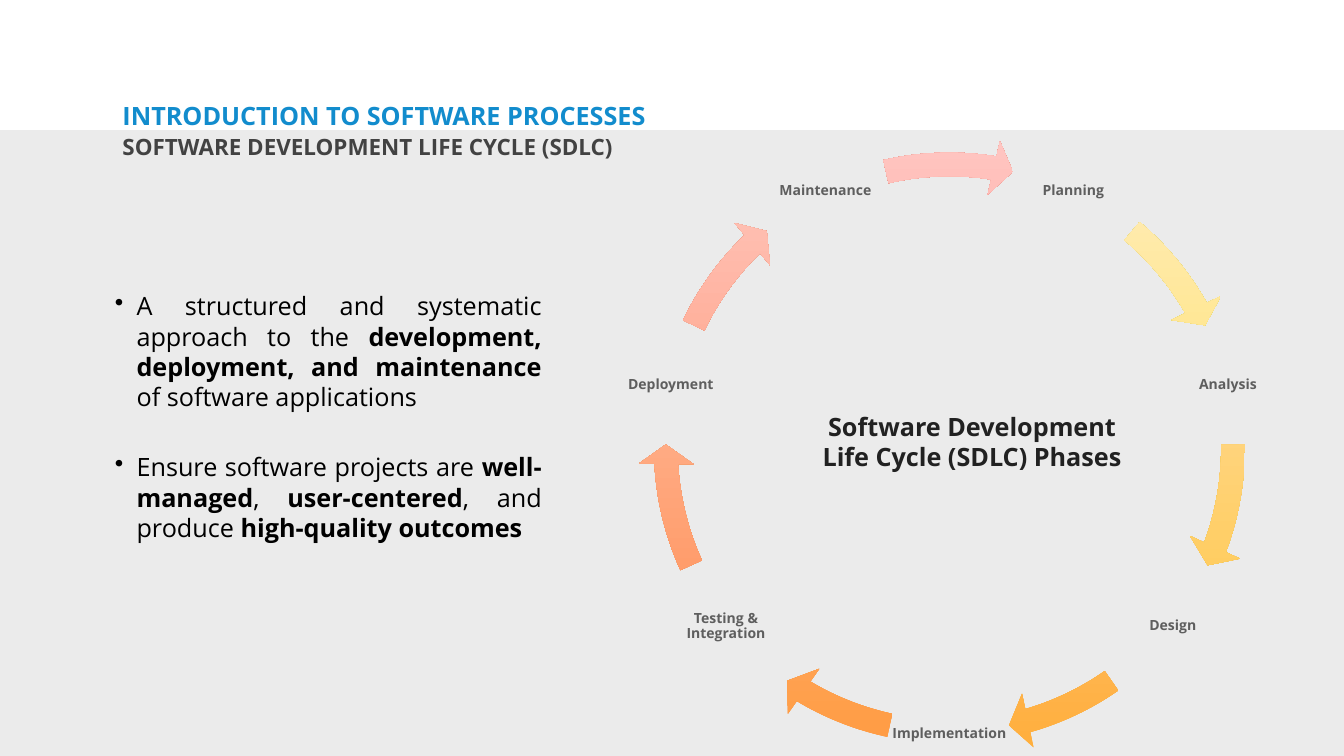
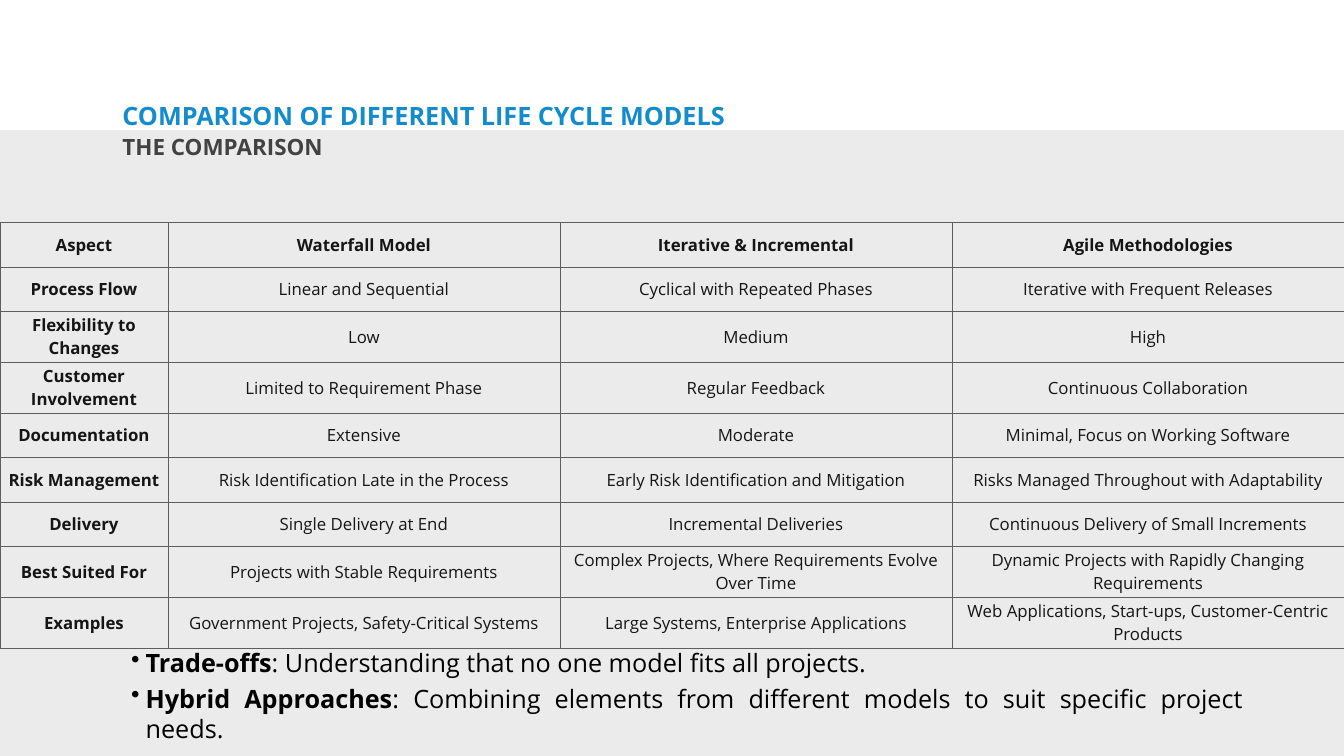
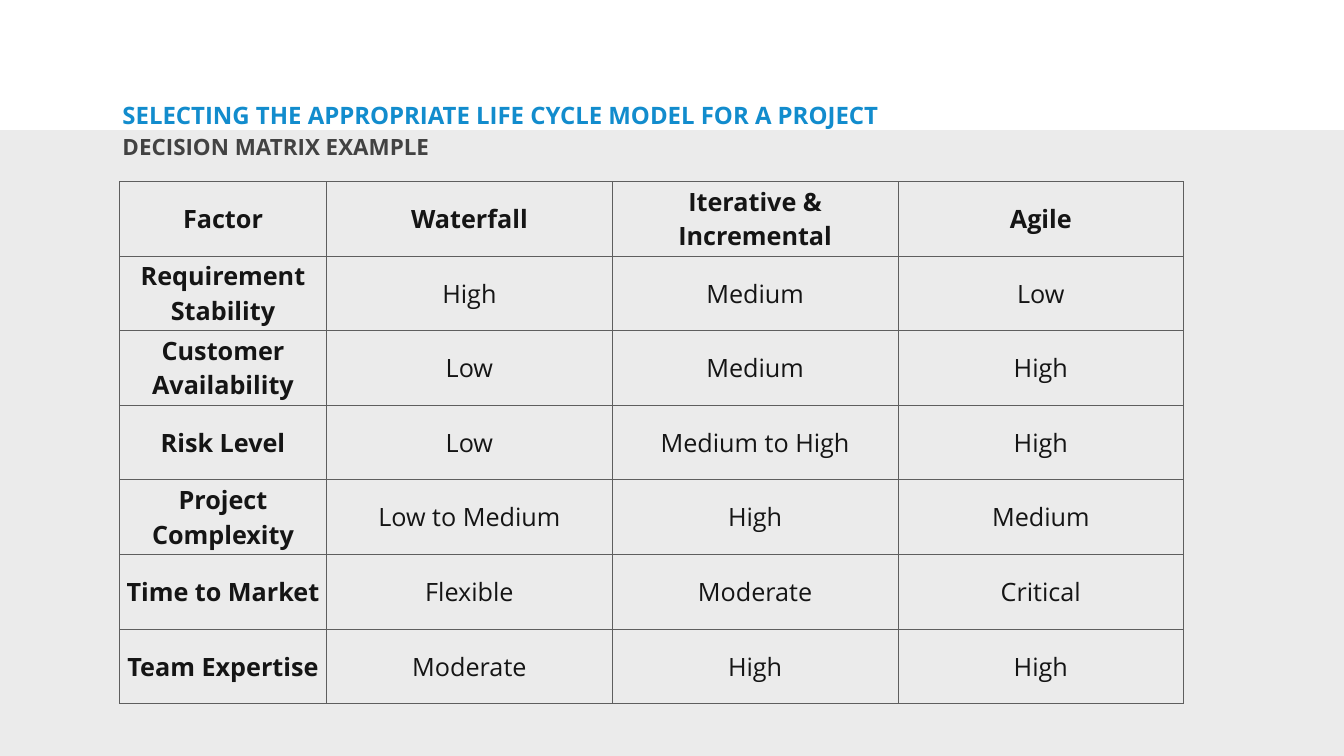
"""Build three slides on software life cycle models."""
import math

import pptx
import pptx.dml.color
import pptx.enum.shapes
import pptx.enum.text
import pptx.oxml
import pptx.oxml.ns
import pptx.util

PX = 9144
FONT = "Open Sans"
COLORS = {
    "band": "EBEBEB",
    "title": "128CCD",
    "subtitle": "424242",
    "body": "000000",
    "phase": "5E5E5E",
    "center": "212121",
    "cell": "151515",
    "grid": "5E5E5E",
}
ALIGN = pptx.enum.text.PP_ALIGN
ANCHOR = pptx.enum.text.MSO_ANCHOR
SHAPE = pptx.enum.shapes.MSO_SHAPE

RING_X, RING_Y, RING_SIZE = 1267, 272, 1234
LABEL_RADIUS, LABEL_SIZE = 567, 238
ARROW_THICKNESS, ARROW_HEAD_WIDTH, ARROW_HEAD_ANGLE = 38, 44, 3.92
ONE_LINE_ROW, TWO_LINE_ROW = 88, 101

# Each phase: label, angles of the next arrow's tail and head, gradient colours.
PHASES = [
    ("Planning", 310.1, 330.44, "FFD932", "FFEDBF"),
    ("Analysis", 359.3, 20.49, "FFC337", "FFE4BF"),
    ("Design", 55.14, 73.95, "FFAE3B", "FFDBBF"),
    ("Implementation", 102.14, 120.95, "FF9A40", "FFD4C0"),
    ("Testing & Integration", 155.59, 176.79, "FF8745", "FFCEC1"),
    ("Deployment", 205.64, 225.98, "FF7549", "FFCAC1"),
    ("Maintenance", 257.08, 279.01, "FF644E", "FFC6C2"),
]

SDLC_POINTS = [
    [("A structured and systematic approach to the ", False),
     ("development, deployment, and maintenance ", True),
     ("of software applications", False)],
    [("Ensure software projects are ", False), ("well-managed", True),
     (", ", False), ("user-centered", True), (", and produce ", False),
     ("high-quality outcomes", True)],
]

CHOICE_POINTS = [
    [("Trade-offs", True),
     (": Understanding that no one model fits all projects.", False)],
    [("Hybrid Approaches", True),
     (": Combining elements from different models to suit specific project needs.", False)],
]

COMPARISON = [
    ("Aspect", "Waterfall Model", "Iterative & Incremental", "Agile Methodologies"),
    ("Process Flow", "Linear and Sequential", "Cyclical with Repeated Phases",
     "Iterative with Frequent Releases"),
    ("Flexibility to Changes", "Low", "Medium", "High"),
    ("Customer Involvement", "Limited to Requirement Phase", "Regular Feedback",
     "Continuous Collaboration"),
    ("Documentation", "Extensive", "Moderate", "Minimal, Focus on Working Software"),
    ("Risk Management", "Risk Identification Late in the Process",
     "Early Risk Identification and Mitigation",
     "Risks Managed Throughout with Adaptability"),
    ("Delivery", "Single Delivery at End", "Incremental Deliveries",
     "Continuous Delivery of Small Increments"),
    ("Best Suited For", "Projects with Stable Requirements",
     "Complex Projects, Where Requirements Evolve Over Time",
     "Dynamic Projects with Rapidly Changing Requirements"),
    ("Examples", "Government Projects, Safety-Critical Systems",
     "Large Systems, Enterprise Applications",
     "Web Applications, Start-ups, Customer-Centric Products"),
]
WRAPPED_ASPECTS = ("Flexibility to Changes", "Customer Involvement",
                   "Best Suited For", "Examples")

DECISION_MATRIX = [
    ("Factor", "Waterfall", "Iterative & Incremental", "Agile"),
    ("Requirement Stability", "High", "Medium", "Low"),
    ("Customer Availability", "Low", "Medium", "High"),
    ("Risk Level", "Low", "Medium to High", "High"),
    ("Project Complexity", "Low to Medium", "High", "Medium"),
    ("Time to Market", "Flexible", "Moderate", "Critical"),
    ("Team Expertise", "Moderate", "High", "High"),
]


def emu(*lengths):
    """Turn px lengths into whole EMU."""
    return [pptx.util.Emu(round(length * PX)) for length in lengths]


def rgb(value):
    """Turn a hex string into a colour."""
    return pptx.dml.color.RGBColor.from_string(value)


def add_run(paragraph, text, size, color, bold):
    """Append one styled run to a paragraph."""
    run = paragraph.add_run()
    run.text = text
    run.font.name = FONT
    run.font.size = pptx.util.Pt(size)
    run.font.bold = bold
    run.font.color.rgb = rgb(COLORS[color])


def add_frame(slide, box, inset=6, anchor=ANCHOR.TOP):
    """Add a wrapping text box and return its text frame."""
    frame = slide.shapes.add_textbox(*emu(*box)).text_frame
    frame.word_wrap = True
    frame.vertical_anchor = anchor
    frame.margin_left, frame.margin_top, frame.margin_right, frame.margin_bottom = emu(*[inset] * 4)
    return frame


def add_line(slide, box, text, size, color, spacing=0.9, align=ALIGN.LEFT, **frame_options):
    """Add a text box with one bold paragraph."""
    paragraph = add_frame(slide, box, **frame_options).paragraphs[0]
    paragraph.alignment = align
    paragraph.line_spacing = spacing
    add_run(paragraph, text, size, color, True)


def add_bullets(slide, box, points, indent, gap):
    """Add justified bullet points with a gap in points between them."""
    frame = add_frame(slide, box, anchor=ANCHOR.MIDDLE)
    for index, point in enumerate(points):
        paragraph = frame.add_paragraph() if index else frame.paragraphs[0]
        properties = paragraph._p.get_or_add_pPr()
        properties.set("marL", str(indent * PX))
        properties.set("indent", str(-indent * PX))
        bullet = pptx.oxml.parse_xml(
            f'<a:buChar {pptx.oxml.ns.nsdecls("a")} char="•"/>')
        properties.append(bullet)
        paragraph.alignment = ALIGN.JUSTIFY
        if index:
            paragraph.space_before = pptx.util.Pt(gap)
        for text, bold in point:
            add_run(paragraph, text, 36, "body", bold)


def add_content_slide(deck, title, subtitle, title_size=36):
    """Add a slide with the grey band, title and subtitle."""
    slide = deck.slides.add_slide(deck.slide_layouts[6])
    band = slide.shapes.add_shape(SHAPE.RECTANGLE, *emu(0, 258, 2667, 1251))
    band.shadow.inherit = False
    band.fill.solid()
    band.fill.fore_color.rgb = rgb(COLORS["band"])
    band.line.fill.background()
    add_line(slide, (237, 205, 1609, 56), title, title_size, "title", spacing=0.8)
    add_line(slide, (237, 265, 1321, 92), subtitle, 32, "subtitle")
    return slide


def add_cycle_arrow(slide, tail, head, low_color, high_color):
    """Add one arrow of the ring between two angles in degrees."""
    arrow = slide.shapes.add_shape(
        SHAPE.CIRCULAR_ARROW, *emu(RING_X, RING_Y, RING_SIZE, RING_SIZE))
    arrow.shadow.inherit = False
    settings = (ARROW_THICKNESS / 1000, ARROW_HEAD_ANGLE * 0.6,
                head * 0.6, tail * 0.6, ARROW_HEAD_WIDTH / 1000)
    for index, setting in enumerate(settings):
        arrow.adjustments[index] = setting
    arrow.fill.gradient()
    arrow.fill.gradient_angle = 90
    for stop, color in zip(arrow.fill.gradient_stops, (low_color, high_color)):
        stop.color.rgb = rgb(color)
    arrow.line.fill.background()


def add_cycle(slide):
    """Place the phases evenly around the ring with arrows between them."""
    step = 2 * math.pi / len(PHASES)
    corner_x = RING_X + (RING_SIZE - LABEL_SIZE) / 2
    corner_y = RING_Y + (RING_SIZE - LABEL_SIZE) / 2
    for index, (phase, tail, head, low_color, high_color) in enumerate(PHASES):
        angle = (index + 0.5) * step - math.pi / 2
        box = (corner_x + LABEL_RADIUS * math.cos(angle),
               corner_y + LABEL_RADIUS * math.sin(angle), LABEL_SIZE, LABEL_SIZE)
        add_line(slide, box, phase, 20, "phase", align=ALIGN.CENTER,
                 inset=3, anchor=ANCHOR.MIDDLE)
        add_cycle_arrow(slide, tail, head, low_color, high_color)


def add_borders(cell):
    """Draw a thin line on all four sides of a cell."""
    properties = cell._tc.get_or_add_tcPr()
    for index, side in enumerate(("lnL", "lnR", "lnT", "lnB")):
        properties.insert(index, pptx.oxml.parse_xml(
            f'<a:{side} {pptx.oxml.ns.nsdecls("a")} w="12700"><a:solidFill>'
            f'<a:srgbClr val="{COLORS["grid"]}"/></a:solidFill></a:{side}>'))


def add_grid(slide, left, top, column_widths, row_heights, rows, size):
    """Add an unfilled table with bold first row and column."""
    box = emu(left, top, sum(column_widths), sum(row_heights))
    table = slide.shapes.add_table(len(rows), len(column_widths), *box).table
    table.first_row = False
    table.horz_banding = False
    for column, width in zip(table.columns, emu(*column_widths)):
        column.width = width
    for table_row, height in zip(table.rows, emu(*row_heights)):
        table_row.height = height
    for row_index, row in enumerate(rows):
        for column_index, text in enumerate(row):
            cell = table.cell(row_index, column_index)
            cell.fill.background()
            cell.vertical_anchor = ANCHOR.MIDDLE
            add_borders(cell)
            paragraph = cell.text_frame.paragraphs[0]
            paragraph.alignment = ALIGN.CENTER
            add_run(paragraph, text, size, "cell", row_index == 0 or column_index == 0)


def main():
    """Build and save the deck."""
    deck = pptx.Presentation()
    deck.slide_width, deck.slide_height = emu(2667, 1500)

    life_cycle = add_content_slide(
        deck, "INTRODUCTION TO SOFTWARE PROCESSES", "SOFTWARE DEVELOPMENT LIFE CYCLE (SDLC)")
    add_bullets(life_cycle, (222, 357, 859, 939), SDLC_POINTS, indent=43, gap=57)
    add_cycle(life_cycle)
    add_line(life_cycle, (1589, 810, 680, 143),
             "Software Development Life Cycle (SDLC) Phases", 36, "center",
             spacing=1.0, align=ALIGN.CENTER)

    comparison = add_content_slide(
        deck, "COMPARISON OF DIFFERENT LIFE CYCLE MODELS", "THE COMPARISON")
    comparison_heights = [TWO_LINE_ROW if row[0] in WRAPPED_ASPECTS else ONE_LINE_ROW
                          for row in COMPARISON]
    add_grid(comparison, 0, 442, [333] + [778] * 3, comparison_heights, COMPARISON, 24)
    add_bullets(comparison, (254, 1243, 2219, 274), CHOICE_POINTS, indent=29, gap=7)

    decision = add_content_slide(
        deck, "SELECTING THE APPROPRIATE LIFE CYCLE MODEL FOR A PROJECT",
        "DECISION MATRIX EXAMPLE", title_size=34.2)
    add_grid(decision, 237, 360, [411] + [567] * 3, [148] * len(DECISION_MATRIX),
             DECISION_MATRIX, 36)

    deck.save("out.pptx")


if __name__ == "__main__":
    main()
